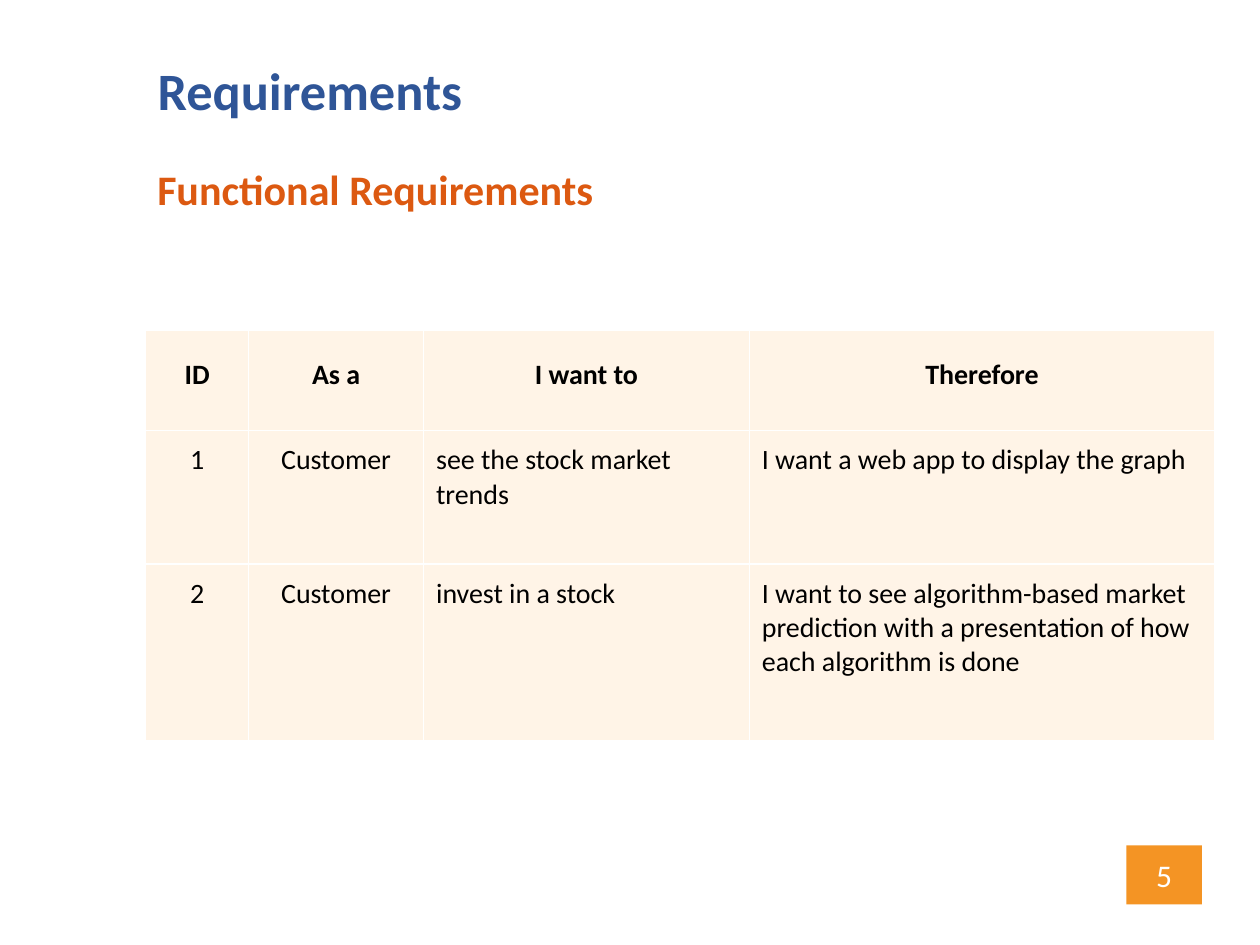
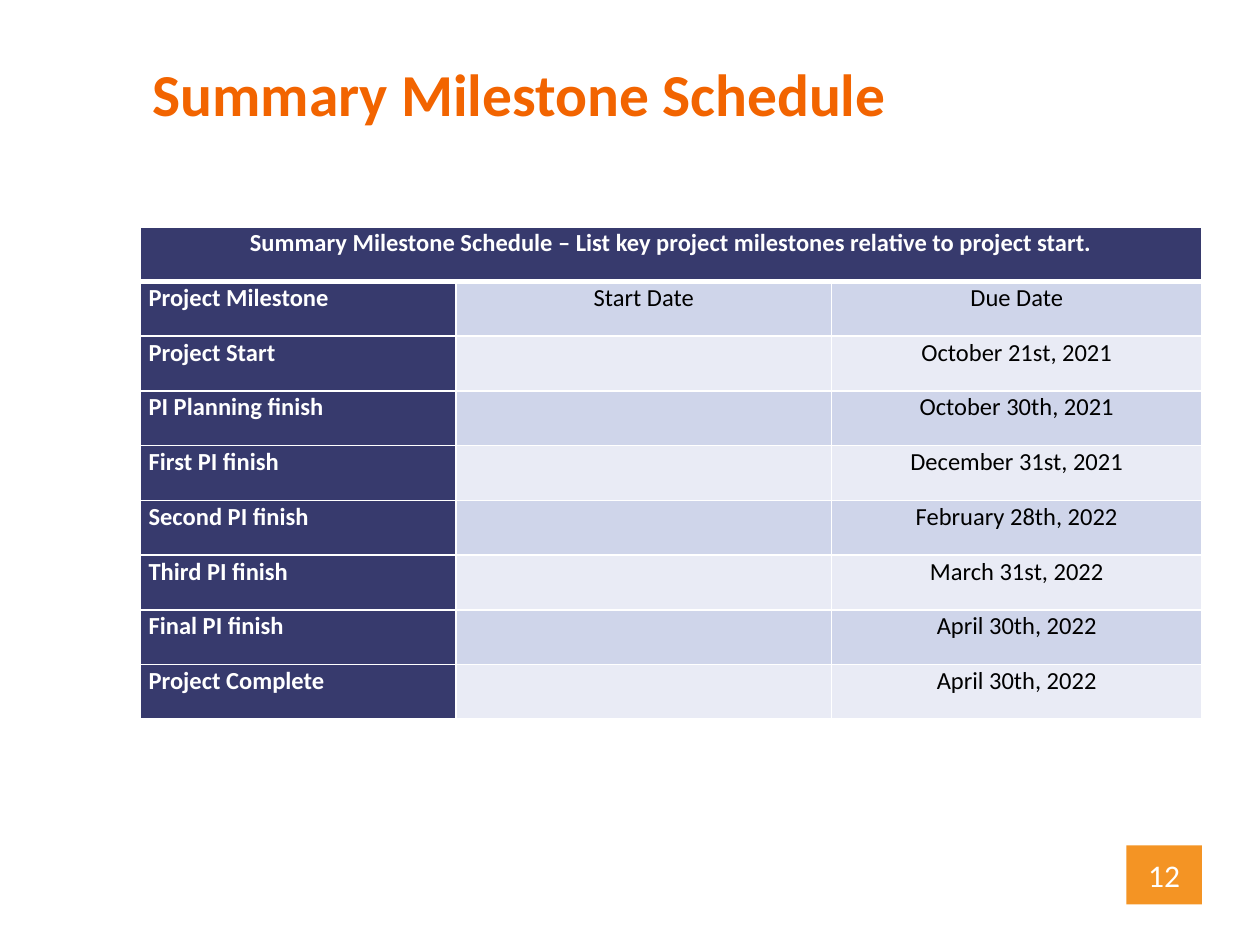
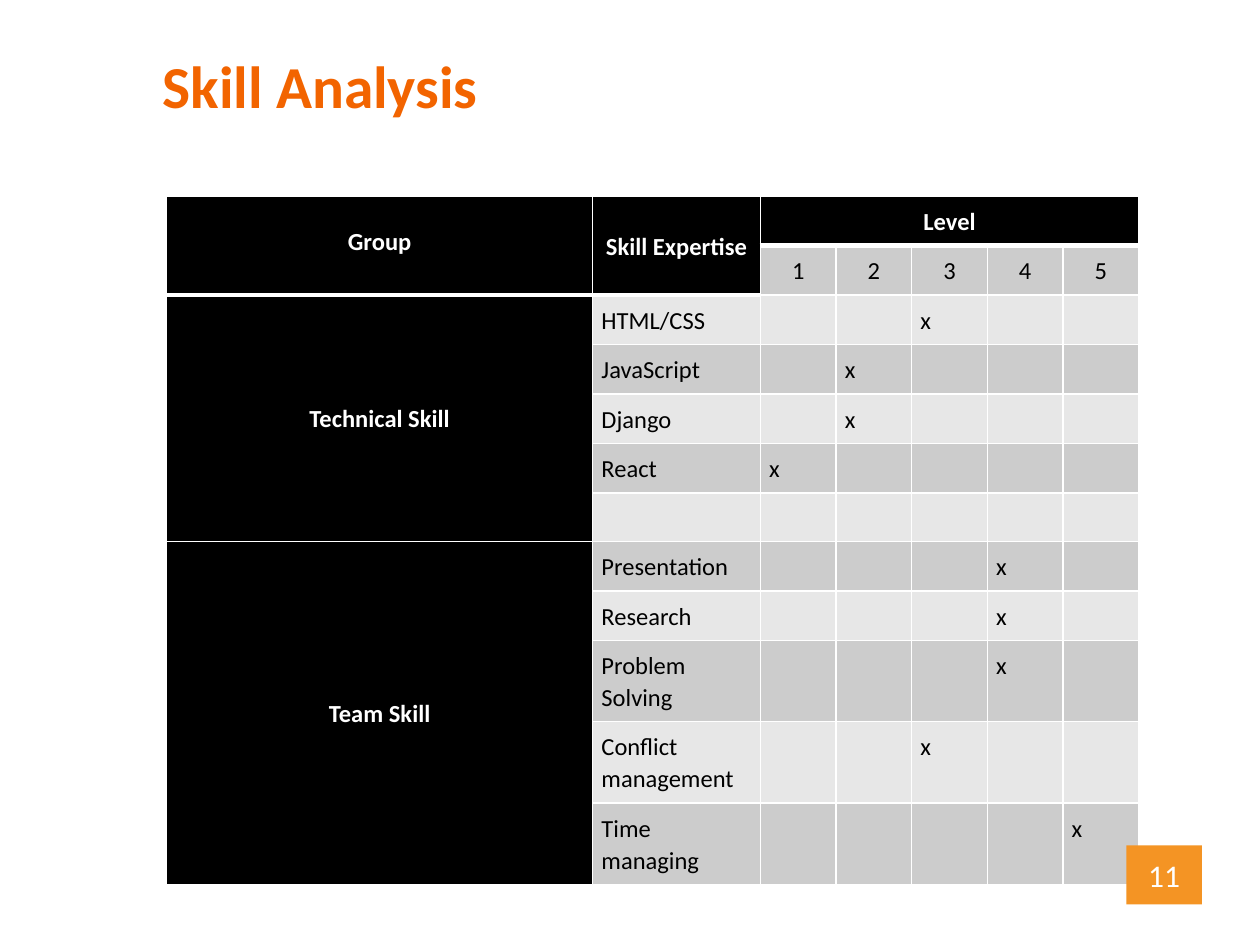
from dataclasses import dataclass, replace
from typing import NamedTuple

from lxml.etree import SubElement
from pptx import Presentation
from pptx.dml.color import RGBColor
from pptx.enum.shapes import MSO_SHAPE as Shape
from pptx.enum.text import MSO_ANCHOR as Anchor, MSO_AUTO_SIZE as AutoSize, PP_ALIGN as Align
from pptx.oxml.ns import qn
from pptx.util import Pt

FONT = "Calibri"
WHITE = RGBColor(0xFF, 0xFF, 0xFF)
BLACK = RGBColor(0x00, 0x00, 0x00)
BLUE = RGBColor(0x2F, 0x55, 0x97)
RUST = RGBColor(0xDC, 0x59, 0x11)
ORANGE = RGBColor(0xF2, 0x64, 0x00)
BADGE = RGBColor(0xF4, 0x94, 0x24)
CREAM = RGBColor(0xFF, 0xF4, 0xE7)
NAVY = RGBColor(0x37, 0x3A, 0x6D)
BLUE_BANDS = (RGBColor(0xE9, 0xEB, 0xF5), RGBColor(0xCF, 0xD5, 0xEA))
GRAY_BANDS = (RGBColor(0xE7, 0xE7, 0xE7), RGBColor(0xCC, 0xCC, 0xCC))
THIN, THICK = Pt(1), Pt(3)


class Box(NamedTuple):
    left: float
    top: float
    width: float
    height: float

    def lengths(self):
        return [Pt(value) for value in self]


@dataclass(frozen=True)
class CellLook:
    fill: RGBColor
    color: RGBColor = BLACK
    bold: bool = False
    size: float = 14
    align: Align = Align.LEFT
    anchor: Anchor = Anchor.TOP
    spacing: float = 1.0
    after: float = 0
    inset: float = 5


BADGE_BOX = Box(643.7, 483.1, 43.2, 33.8)


def write(para, text, size, color, bold=False, align=Align.LEFT, spacing=1.0):
    para.alignment = align
    para.line_spacing = spacing
    span = para.add_run()
    span.text = text
    font = span.font
    font.name, font.size, font.bold = FONT, Pt(size), bold
    font.color.rgb = color


def add_title(page, box, text, size, color):
    title = page.shapes.title
    title.left, title.top, title.width, title.height = box.lengths()
    frame = title.text_frame
    frame.word_wrap = True
    frame.auto_size = AutoSize.NONE
    frame.vertical_anchor = Anchor.MIDDLE
    write(frame.paragraphs[0], text, size, color, bold=True, spacing=0.9)


def add_subtitle(page, box, text):
    frame = page.shapes.add_textbox(*box.lengths()).text_frame
    frame.word_wrap = True
    frame.auto_size = AutoSize.SHAPE_TO_FIT_TEXT
    para = frame.paragraphs[0]
    para.space_before, para.space_after = Pt(10), Pt(8)
    write(para, text, 24, RUST, bold=True, spacing=1.07)


def add_page_number(page, box, number):
    badge = page.shapes.add_shape(Shape.RECTANGLE, *box.lengths())
    badge.shadow.inherit = False
    badge.fill.solid()
    badge.fill.fore_color.rgb = BADGE
    badge.line.fill.background()
    badge.text_frame.vertical_anchor = Anchor.MIDDLE
    write(badge.text_frame.paragraphs[0], str(number), 18, WHITE, align=Align.CENTER)


def add_borders(cell, top, bottom):
    properties = cell._tc.get_or_add_tcPr()
    for side, width in (("L", THIN), ("R", THIN), ("T", top), ("B", bottom)):
        line = SubElement(properties, qn(f"a:ln{side}"), w=str(width))
        solid = SubElement(line, qn("a:solidFill"))
        SubElement(solid, qn("a:srgbClr"), val=str(WHITE))


def fill_cell(cell, text, look):
    cell.fill.solid()
    cell.fill.fore_color.rgb = look.fill
    cell.vertical_anchor = look.anchor
    cell.margin_left = cell.margin_right = Pt(look.inset)
    cell.margin_top = cell.margin_bottom = Pt(look.inset)
    para = cell.text_frame.paragraphs[0]
    if text:
        para.space_after = Pt(look.after)
        write(para, text, look.size, look.color, look.bold, look.align, look.spacing)
    else:
        SubElement(para._p, qn("a:endParaRPr"), sz=str(int(look.size * 100)))


def add_grid(page, box, columns, heights, texts, look_at, merges=(), thick=()):
    table = page.shapes.add_table(len(heights), len(columns), *box.lengths()).table
    for column, share in zip(table.columns, columns):
        column.width = Pt(box.width * share / sum(columns))
    for row, share in zip(table.rows, heights):
        row.height = Pt(box.height * share / sum(heights))
    for r, line in enumerate(texts):
        for c, text in enumerate(line):
            cell = table.cell(r, c)
            top = THICK if (r - 1, c) in thick else THIN
            add_borders(cell, top, THICK if (r, c) in thick else THIN)
            fill_cell(cell, text, look_at(r, c))
    for first, last in merges:
        table.cell(*first).merge(table.cell(*last))


def requirements_slide(page):
    add_title(page, Box(82.8, 33.1, 360, 40.3), "Requirements", 30, BLUE)
    add_subtitle(page, Box(82.8, 87.8, 360, 36.7), "Functional Requirements")
    texts = [
        ("ID", "As a", "I want to", "Therefore"),
        ("1", "Customer", "see the stock market trends",
         "I want a web app to display the graph"),
        ("2", "Customer", "invest in a stock",
         "I want to see algorithm-based market prediction with a presentation "
         "of how each algorithm is done"),
    ]
    body = CellLook(CREAM, size=16, after=8, inset=7.2)
    centred = replace(body, align=Align.CENTER)
    header = replace(centred, bold=True, anchor=Anchor.MIDDLE, spacing=Pt(13))

    def look_at(row, column):
        if row == 0:
            return header
        return centred if column < 2 else body

    add_grid(page, Box(83.2, 188.6, 611, 235), (0.82, 1.39, 2.59, 3.7),
             (0.8, 1.06, 1.41), texts, look_at)
    add_page_number(page, BADGE_BOX, 5)


def milestones_slide(page):
    add_title(page, Box(79.9, 15.1, 476.6, 81.4), "Summary Milestone Schedule", 34, ORANGE)
    milestones = [
        ("Project Start", "October 21st, 2021"),
        ("PI Planning finish", "October 30th, 2021"),
        ("First PI finish", "December 31st, 2021"),
        ("Second PI finish", "February 28th, 2022"),
        ("Third PI finish", "March 31st, 2022"),
        ("Final PI finish", "April 30th, 2022"),
        ("Project Complete", "April 30th, 2022"),
    ]
    heading = "Summary Milestone Schedule – List key project milestones relative to project start."
    texts = [(heading, "", ""), ("Project Milestone", "Start Date", "Due Date")]
    texts += [(name, "", due) for name, due in milestones]
    label = CellLook(NAVY, WHITE, bold=True, spacing=Pt(13), after=8)

    def look_at(row, column):
        if row == 0:
            return replace(label, align=Align.CENTER)
        if column == 0:
            return label
        return replace(label, fill=BLUE_BANDS[row % 2], color=BLACK, bold=False,
                       align=Align.CENTER)

    add_grid(page, Box(79.9, 129.6, 607, 281.5), (2.51, 2.98, 2.94), [1] * len(texts),
             texts, look_at, merges=[((0, 0), (0, 2))], thick=[(0, c) for c in range(3)])
    add_page_number(page, BADGE_BOX, 12)


def skills_slide(page):
    add_title(page, Box(85.7, 28.8, 360, 44.6), "Skill Analysis", 34, ORANGE)
    levels = range(1, 6)
    skills = [
        ("Technical Skill", "HTML/CSS", 3),
        ("", "JavaScript", 2),
        ("", "Django", 2),
        ("", "React", 1),
        ("", "", None),
        ("Team Skill", "Presentation", 4),
        ("", "Research", 4),
        ("", "Problem Solving", 4),
        ("", "Conflict management", 3),
        ("", "Time managing", 5),
    ]
    texts = [("Group", "Skill Expertise", "Level", "", "", "", ""),
             ("", "", *map(str, levels))]
    texts += [(group, skill, *("x" if level == mark else "" for level in levels))
              for group, skill, mark in skills]
    body = CellLook(GRAY_BANDS[0], spacing=1.07)
    dark = replace(body, fill=BLACK, color=WHITE, bold=True, align=Align.CENTER)
    middle = replace(dark, anchor=Anchor.MIDDLE)

    def look_at(row, column):
        if (row, column) == (0, 0):
            return replace(middle, spacing=Pt(13), after=8)
        if column == 0 or (column == 1 and row < 2):
            return middle
        if row == 0:
            return dark
        align = Align.CENTER if row == 1 else Align.LEFT
        return replace(body, fill=GRAY_BANDS[row % 2], align=align)

    merges = [((0, 0), (1, 0)), ((0, 1), (1, 1)), ((0, 2), (0, 6)),
              ((2, 0), (6, 0)), ((7, 0), (11, 0))]
    thick = [(1, 0), (1, 1)] + [(0, c) for c in range(2, 7)]
    add_grid(page, Box(95.2, 112.2, 555.5, 388.5), [3.38, 1.33] + [0.6] * 5,
             [27.9] * 9 + [45.8] * 3, texts, look_at, merges, thick)
    add_page_number(page, BADGE_BOX, 11)


def main():
    deck = Presentation()
    deck.slide_width, deck.slide_height = Pt(720), Pt(540)
    for build in (requirements_slide, milestones_slide, skills_slide):
        build(deck.slides.add_slide(deck.slide_layouts[5]))
    deck.save("out.pptx")


if __name__ == "__main__":
    main()
